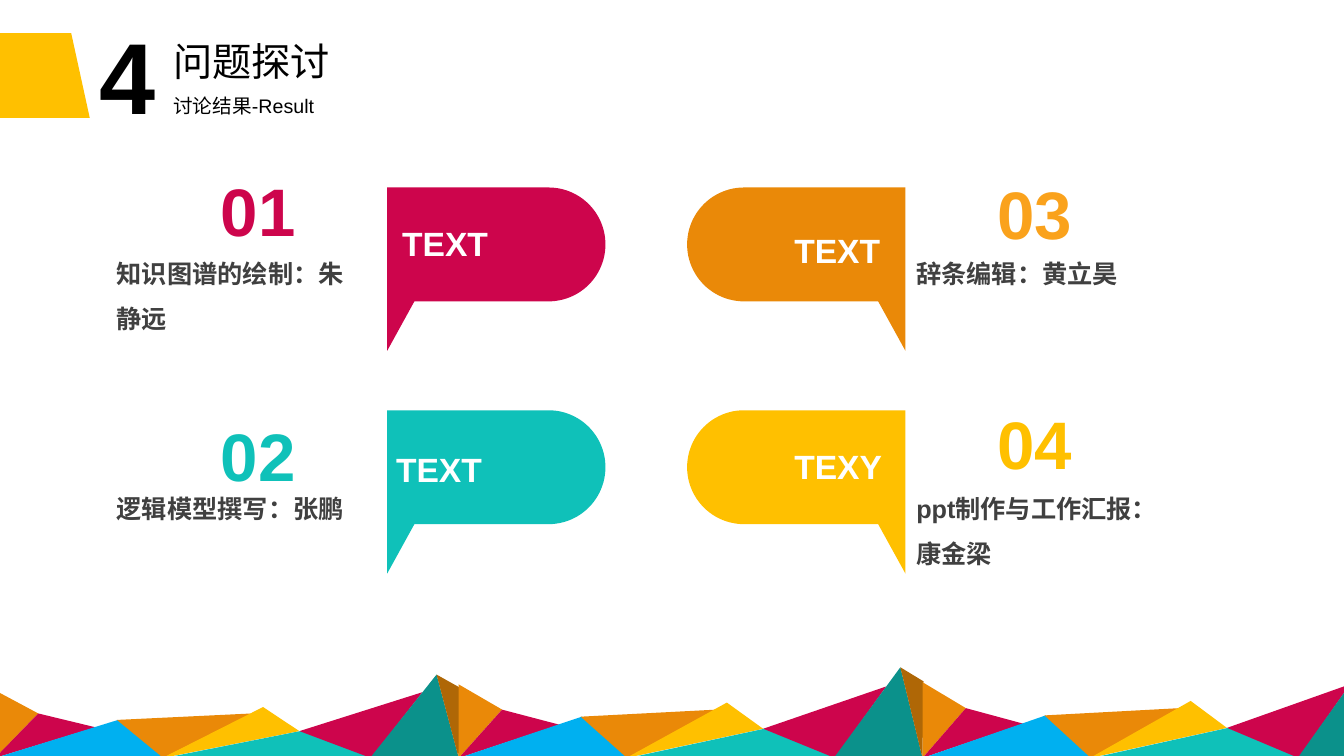
from math import cos, pi, sin

from pptx import Presentation
from pptx.dml.color import RGBColor
from pptx.enum.shapes import MSO_SHAPE
from pptx.enum.text import MSO_ANCHOR, MSO_AUTO_SIZE, PP_ALIGN
from pptx.util import Inches, Pt

CRIMSON = "CD054C"
TEAL = "0FC1B9"
ORANGE = "EA8908"
YELLOW = "FFC000"
BLUE = "00B0F0"
DARK_TEAL = "0B918B"
BROWN = "AF6706"
BLACK = "000000"
WHITE = "FFFFFF"
GREY = "404040"

BASELINE = 7.52
RANGE_WIDTH = 4.6
RANGE_SCALES = (0.92, 1, 1.03)
FACETS = (
    (ORANGE, (0, 0), (0, 0.73), (0.43, 0.48)),
    (CRIMSON, (0, 0), (0.43, 0.48), (1, 0.33)),
    (BLUE, (0, 0), (1.22, 0.41), (1.68, 0)),
    (ORANGE, (1.21, 0.41), (2.55, 0.48), (1.67, 0)),
    (YELLOW, (1.66, 0), (2.66, 0.55), (3.02, 0.29)),
    (TEAL, (1.68, 0), (3.03, 0.29), (3.75, 0)),
    (CRIMSON, (3.02, 0.29), (4.24, 0.71), (3.73, 0)),
    (DARK_TEAL, (3.72, 0), (4.38, 0.9), (4.6, 0)),
    (BROWN, (4.38, 0.9), (4.61, 0.76), (4.6, 0)),
)

BUBBLES = (
    (3.84, 1.86, 1, CRIMSON),
    (3.84, 4.07, 1, TEAL),
    (8.98, 1.86, -1, ORANGE),
    (8.98, 4.07, -1, YELLOW),
)
NUMBERS = (
    ("01", 2.09, 1.63, CRIMSON, PP_ALIGN.LEFT),
    ("02", 2.09, 4.06, TEAL, PP_ALIGN.LEFT),
    ("03", 9.78, 1.66, "FAA21C", PP_ALIGN.RIGHT),
    ("04", 9.78, 3.94, YELLOW, PP_ALIGN.RIGHT),
)
BUBBLE_LABELS = (
    ("TEXT", 3.89, 2.16),
    ("TEXT", 7.78, 2.23),
    ("TEXY", 7.78, 4.37),
    ("TEXT", 3.83, 4.4),
)
TASKS = (
    ("知识图谱的绘制：朱静远", 1.06, 2.36, 1.01),
    ("逻辑模型撰写：张鹏", 1.06, 4.69, 0.5),
    ("辞条编辑：黄立昊", 8.99, 2.36, 0.56),
    ("ppt制作与工作汇报：康金梁", 8.99, 4.69, 0.96),
)


def color(code):
    return RGBColor.from_string(code)


def paint(shape, code):
    shape.shadow.inherit = False
    shape.fill.solid()
    shape.fill.fore_color.rgb = color(code)
    shape.line.fill.background()


def add_outline(page, points, code):
    corners = [(Inches(x), Inches(y)) for x, y in points]
    builder = page.shapes.build_freeform(*corners[0])
    builder.add_line_segments(corners[1:], close=True)
    paint(builder.convert_to_shape(), code)


def add_mountains(page):
    for index, scale in enumerate(RANGE_SCALES):
        left = -0.05 + index * RANGE_WIDTH
        for code, *corners in FACETS:
            points = [(left + x, BASELINE - height * scale) for x, height in corners]
            if min(x for x, y in points) < 13.33:
                add_outline(page, points, code)


def add_bubble(page, edge, top, direction, code):
    radius, steps = 0.565, 48
    angles = [pi * step / steps for step in range(steps + 1)]
    arc = [(1.6 + radius * sin(angle), radius - radius * cos(angle)) for angle in angles]
    points = [(0, 0), *arc, (0.27, 2 * radius), (0, 1.62)]
    add_outline(page, [(edge + direction * x, top + y) for x, y in points], code)


def write(box, text, size, code, bold=False, align=PP_ALIGN.LEFT, wrap=True, spacing=1):
    frame = box.text_frame
    frame.text = text
    frame.word_wrap = wrap
    frame.auto_size = MSO_AUTO_SIZE.SHAPE_TO_FIT_TEXT
    frame.vertical_anchor = MSO_ANCHOR.TOP
    para = frame.paragraphs[0]
    para.alignment = align
    para.line_spacing = spacing
    para.font.name = "Arial"
    para.font.size = Pt(size)
    para.font.bold = bold
    para.font.color.rgb = color(code)


def add_text(page, left, top, width, height, text, size, code, **style):
    box = page.shapes.add_textbox(Inches(left), Inches(top), Inches(width), Inches(height))
    write(box, text, size, code, **style)


def add_heading(page):
    tab = page.shapes.add_shape(
        MSO_SHAPE.FLOWCHART_MANUAL_INPUT, Inches(0.01), Inches(0.29), Inches(0.84), Inches(0.92)
    )
    tab.rotation = 90
    paint(tab, YELLOW)
    title = page.shapes.title
    title.left, title.top = Inches(1.62), Inches(0.32)
    title.width, title.height = Inches(1.79), Inches(0.57)
    write(title, "问题探讨", 28, BLACK)
    add_text(page, 1.62, 0.88, 2.98, 0.34, "讨论结果-Result", 14, BLACK)
    add_text(page, 0.89, 0.09, 1.46, 1.31, "4", 72, BLACK, bold=True)


def main():
    deck = Presentation()
    deck.slide_width, deck.slide_height = Inches(13.33), Inches(7.5)
    page = deck.slides.add_slide(deck.slide_layouts[5])
    add_mountains(page)
    add_heading(page)
    for bubble in BUBBLES:
        add_bubble(page, *bubble)
    for text, left, top, code, align in NUMBERS:
        add_text(page, left, top, 0.95, 0.91, text, 48, code, bold=True, align=align, wrap=False)
    for text, left, top in BUBBLE_LABELS:
        add_text(page, left, top, 1.1, 0.5, text, 24, WHITE, bold=True, wrap=False)
    for text, left, top, height in TASKS:
        add_text(page, left, top, 2.65, height, text, 18, GREY, bold=True, spacing=1.5)
    deck.save("out.pptx")


if __name__ == "__main__":
    main()
